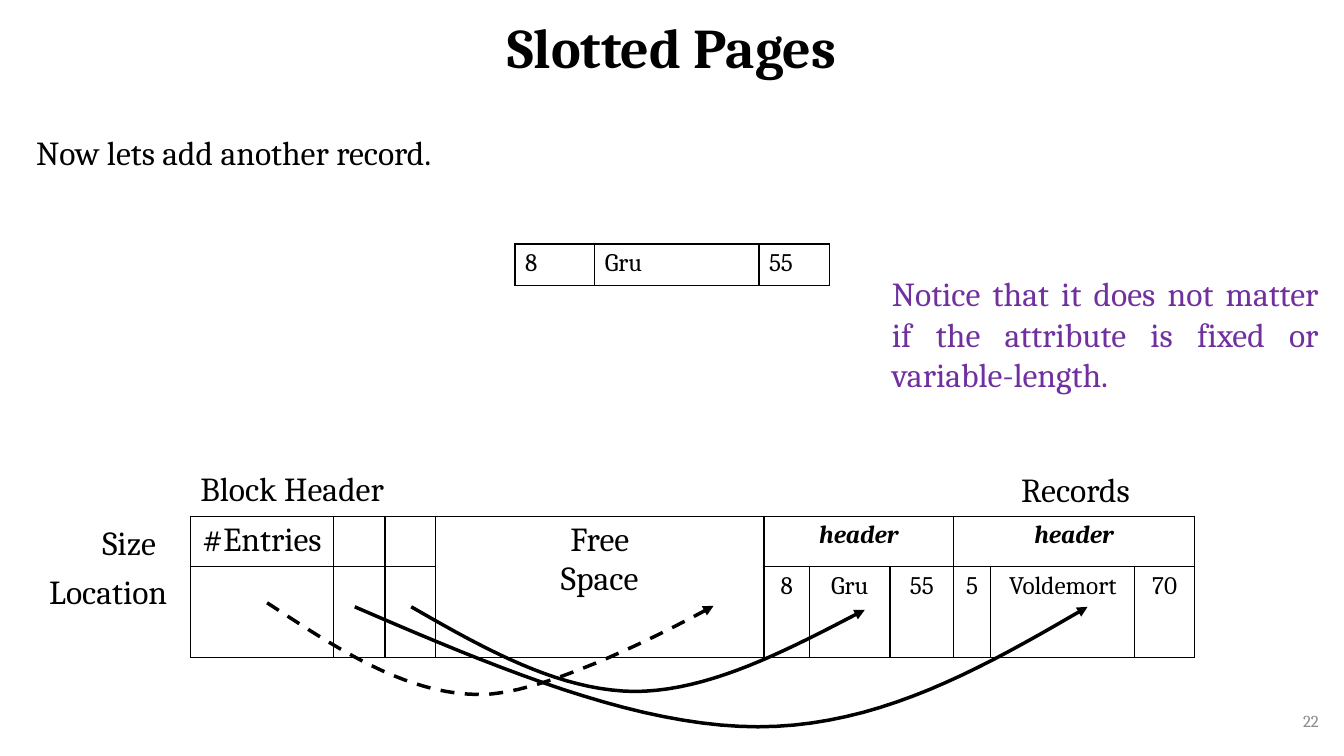
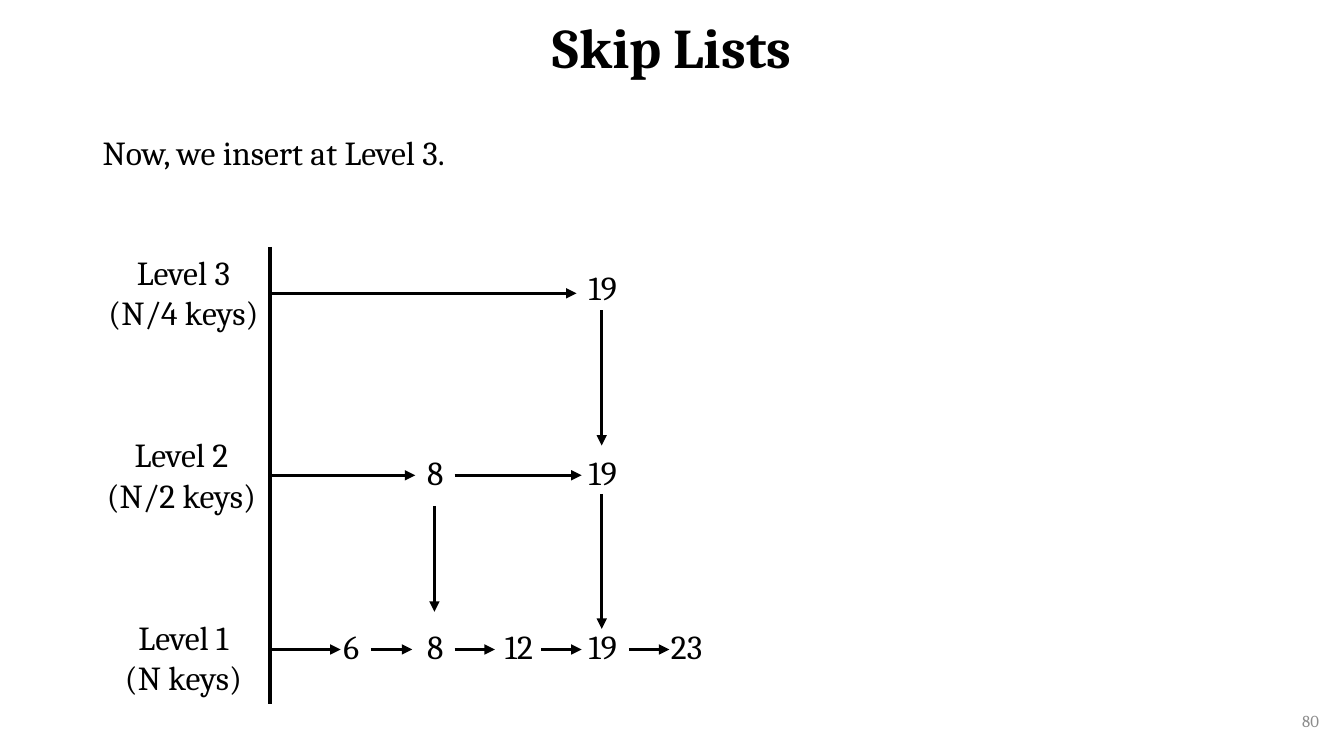
import dataclasses
import typing

import lxml.etree
import pptx
import pptx.dml.color
import pptx.enum.dml
import pptx.enum.shapes
import pptx.enum.text
import pptx.oxml.ns
import pptx.util

COLS, ROWS = 80, 45
UNIT = pptx.util.Inches(1 / 6)
FONT = "Cambria"
INK = {"text": "000000", "note": "7030A0", "page": "8C8C8C"}
ALIGN = pptx.enum.text.PP_ALIGN
MID = pptx.enum.text.MSO_ANCHOR.MIDDLE
DASH = pptx.enum.dml.MSO_LINE.DASH
STRAIGHT = pptx.enum.shapes.MSO_CONNECTOR.STRAIGHT
STEPS = 20
PITCH = 4.99

Point = tuple[float, float]


@dataclasses.dataclass
class Cell:
    row: int
    col: int
    text: str
    size: int = 18
    align: typing.Any = ALIGN.CENTER
    bold: bool = False
    slant: bool = False
    tall: int = 1
    wide: int = 1


@dataclasses.dataclass
class Curve:
    points: list[Point]
    dash: bool = False


@dataclasses.dataclass
class Level:
    name: str
    left: float
    top: float
    list_top: float
    keys: dict[int, str]
    line: float
    spans: list[Point]


HEAD = dict(size=18, bold=True, slant=True, wide=3)
BLOCK = [
    Cell(0, 0, "#Entries", 24),
    Cell(0, 3, "Free\nSpace", 24, tall=2),
    Cell(0, 4, "header", **HEAD),
    Cell(0, 7, "header", **HEAD),
    *[Cell(1, col, text) for col, text in enumerate(["8", "Gru", "55", "5", "Voldemort", "70"], 4)],
]
RECORD = [Cell(0, col, text, align=ALIGN.LEFT) for col, text in enumerate(["8", "Gru", "55"])]
TAGS = [
    ("Records", 60.2, 27.6, 8.4),
    ("Size", 5.5, 30.8, 4.9),
    ("Block Header", 11.34, 27.54, 13.3),
    ("Location", 2.34, 33.66, 9),
]
CURVES = [
    Curve([(15.9, 35.88), (20.04, 38.58), (24.12, 41.34), (28.56, 41.34),
           (33, 41.4), (42.48, 36.06), (42.48, 36.06)], dash=True),
    Curve([(21.12, 36.12), (29.46, 39.72), (37.86, 43.26), (45.12, 43.26),
           (52.38, 43.26), (58.56, 39.72), (64.74, 36.12)]),
    Curve([(24.48, 36.12), (28.86, 38.64), (33.24, 41.1), (37.74, 41.16),
           (42.24, 41.16), (46.86, 38.7), (51.48, 36.3)]),
]
AXIS = 16.08
LEVELS = [
    Level("Level 3\n(N/4 keys)", 5.7, 14.7, 15.78, {3: "19"}, 17.46, [(AXIS, 34.32)]),
    Level("Level 2\n(N/2 keys)", 5.58, 25.56, 26.82, {1: "8", 3: "19"}, 28.29,
          [(AXIS, 24.72), (27.06, 34.62)]),
    Level("Level 1\n(N keys)", 5.7, 36.42, 37.14,
          dict(enumerate(["6", "8", "12", "19", "23"])), 38.66,
          [(AXIS, 20.28), (22.08, 24.54), (27.06, 29.46), (32.22, 34.62), (37.44, 39.84)]),
]
DROPS = [(25.86, 30.12, 36.42), (35.82, 18.48, 26.52), (35.82, 29.4, 37.44)]


def grid(count: float) -> int:
    return round(count * UNIT)


def ink(name: str) -> pptx.dml.color.RGBColor:
    return pptx.dml.color.RGBColor.from_string(INK[name])


def add(node, tag: str, **marks: str):
    return lxml.etree.SubElement(node, pptx.oxml.ns.qn(tag), marks)


def write(frame, text: str, *, size: int = 24, align=ALIGN.LEFT, color: str = "text",
          bold: bool = False, slant: bool = False, space: float = 1, before: int = 0) -> None:
    frame.word_wrap = True
    for index, words in enumerate(text.split("\n")):
        para = frame.add_paragraph() if index else frame.paragraphs[0]
        para.alignment = align
        para.line_spacing = space
        para.space_before = pptx.util.Pt(before)
        run = para.add_run()
        run.text = words
        run.font.name = FONT
        run.font.size = pptx.util.Pt(size)
        run.font.bold = bold
        run.font.italic = slant
        run.font.color.rgb = ink(color)


def label(slide, text: str, left: float, top: float, wide: float, high: float = 3,
          anchor=None, **form) -> None:
    frame = slide.shapes.add_textbox(*map(grid, (left, top, wide, high))).text_frame
    frame.vertical_anchor = anchor
    write(frame, text, **form)


def edge(cell) -> None:
    props = cell._tc.get_or_add_tcPr()
    for index, side in enumerate(("a:lnL", "a:lnR", "a:lnT", "a:lnB")):
        line = lxml.etree.Element(pptx.oxml.ns.qn(side), w=str(pptx.util.Pt(1)))
        add(add(line, "a:solidFill"), "a:srgbClr", val=INK["text"])
        props.insert(index, line)


def table(slide, left: float, top: float, cols: list[float], rows: list[float],
          cells: list[Cell], lined: bool = True) -> None:
    places = map(grid, (left, top, sum(cols), sum(rows)))
    chart = slide.shapes.add_table(len(rows), len(cols), *places).table
    chart.first_row = chart.horz_banding = False
    for col, width in zip(chart.columns, cols):
        col.width = grid(width)
    for row, height in zip(chart.rows, rows):
        row.height = grid(height)
    for cell in chart.iter_cells():
        cell.fill.background()
        if lined:
            edge(cell)
    for item in cells:
        cell = chart.cell(item.row, item.col)
        if item.tall * item.wide > 1:
            cell.merge(chart.cell(item.row + item.tall - 1, item.col + item.wide - 1))
        write(cell.text_frame, item.text, size=item.size, align=item.align,
              bold=item.bold, slant=item.slant)


def stroke(shape, dash: bool = False, tip: bool = True) -> None:
    shape.line.color.rgb = ink("text")
    shape.line.width = pptx.util.Pt(2.5)
    if dash:
        shape.line.dash_style = DASH
    if tip:
        add(shape._element.spPr.find(pptx.oxml.ns.qn("a:ln")), "a:tailEnd", type="triangle")


def link(slide, start: Point, end: Point, tip: bool = True) -> None:
    line = slide.shapes.add_connector(STRAIGHT, *map(grid, (*start, *end)))
    stroke(line, tip=tip)
    add(line._element.spPr, "a:effectLst")


def blend(a: float, b: float, c: float, d: float, t: float) -> int:
    s = 1 - t
    return grid(a * s**3 + 3 * b * s * s * t + 3 * c * s * t * t + d * t**3)


def bend(slide, curve: Curve) -> None:
    dots = []
    for first in range(0, len(curve.points) - 1, 3):
        xs, ys = zip(*curve.points[first:first + 4])
        dots += [(blend(*xs, step / STEPS), blend(*ys, step / STEPS))
                 for step in range(1, STEPS + 1)]
    pen = slide.shapes.build_freeform(*map(grid, curve.points[0]), scale=1.0)
    shape = pen.add_line_segments(dots, close=False).convert_to_shape()
    shape.fill.background()
    shape.shadow.inherit = False
    stroke(shape, curve.dash)


def start(deck, title: str, page: str, lead: str, left: float):
    slide = deck.slides.add_slide(deck.slide_layouts[6])
    label(slide, title, 5.5, 0, 69, 5.94, MID, size=40, bold=True, align=ALIGN.CENTER, space=0.9)
    label(slide, page, 61.1, 41.7, 18, 2.4, MID, size=12, color="page", align=ALIGN.RIGHT)
    label(slide, lead, left, 7.83, 79.08 - left, align=ALIGN.JUSTIFY, space=0.9, before=10)
    return slide


def slots(deck) -> None:
    slide = start(deck, "Slotted Pages", "22", "Now lets add another record.", 1.56)
    table(slide, 11.34, 30.72, [8.52, 3.06, 3, 19.56, 2.7, 4.8, 3.78, 2.22, 8.58, 3.54],
          [2.88, 5.24], BLOCK)
    table(slide, 30.66, 14.52, [4.74, 9.78, 4.2], [2.46], RECORD)
    for tag in TAGS:
        label(slide, *tag)
    for curve in CURVES:
        bend(slide, curve)
    label(slide, "Notice that it does not matter if the attribute is fixed or variable-length.",
          52.5, 15.96, 26.58, 7.86, color="note", align=ALIGN.JUSTIFY)


def skips(deck) -> None:
    slide = start(deck, "Skip Lists", "80", "Now, we insert at Level 3.", 5.52)
    link(slide, (AXIS, 14.7), (AXIS, 41.88), tip=False)
    for level in LEVELS:
        label(slide, level.name, level.left, level.top, 10.44, 5.46, align=ALIGN.CENTER)
        cells = [Cell(0, col, key, 24) for col, key in level.keys.items()]
        table(slide, 18.42, level.list_top, [PITCH] * 12, [2.76], cells, lined=False)
        for left, right in level.spans:
            link(slide, (left, level.line), (right, level.line))
    for left, top, end in DROPS:
        link(slide, (left, top), (left, end))


def main() -> None:
    deck = pptx.Presentation()
    deck.slide_width, deck.slide_height = grid(COLS), grid(ROWS)
    slots(deck)
    skips(deck)
    deck.save("out.pptx")


if __name__ == "__main__":
    main()
